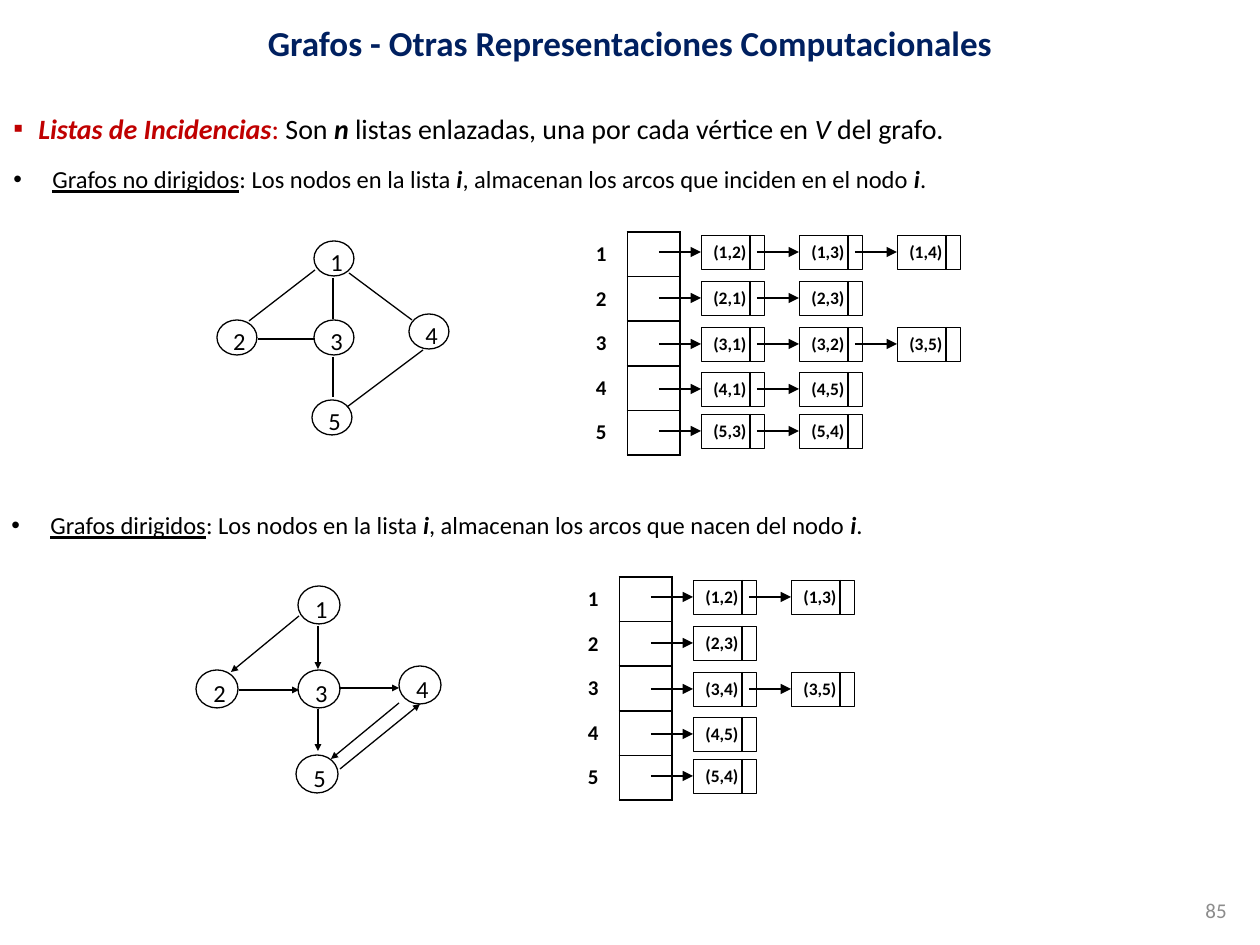
from dataclasses import dataclass

from lxml import etree
from pptx import Presentation
from pptx import util as u
from pptx.dml.color import RGBColor
from pptx.enum import shapes, text
from pptx.oxml import ns


@dataclass(frozen=True)
class Theme:
    font: str = "Calibri"
    black: RGBColor = RGBColor(0, 0, 0)
    white: RGBColor = RGBColor(255, 255, 255)
    navy: RGBColor = RGBColor(0, 0x20, 0x60)
    red: RGBColor = RGBColor(0xC0, 0, 0)
    gray: RGBColor = RGBColor(0x8C, 0x8C, 0x8C)
    title: int = 20
    heading: int = 16
    body: int = 14
    index: int = 12
    entry: int = 10
    line: float = 0.75
    box_line: float = 0.25


theme = Theme()
EMU_PER_PX = 914400 / 126
LEFT, CENTER, RIGHT = text.PP_ALIGN.LEFT, text.PP_ALIGN.CENTER, text.PP_ALIGN.RIGHT
TOP, MIDDLE = text.MSO_ANCHOR.TOP, text.MSO_ANCHOR.MIDDLE


def px(*lengths):
    return [u.Emu(round(length * EMU_PER_PX)) for length in lengths]


def write(frame, words, size, align=CENTER, anchor=MIDDLE, color=theme.black, bold=False):
    frame.word_wrap = True
    frame.vertical_anchor = anchor
    paragraph = frame.paragraphs[0]
    paragraph.text = words
    paragraph.alignment = align
    paragraph.font.name = theme.font
    paragraph.font.size = u.Pt(size)
    paragraph.font.color.rgb = color
    paragraph.font.bold = bold
    return paragraph


presentation = Presentation()
presentation.slide_width, presentation.slide_height = px(1260, 945)
slide = presentation.slides.add_slide(presentation.slide_layouts[5])

title = slide.shapes.title
title.left, title.top, title.width, title.height = px(0, 0, 1260, 84)
write(title.text_frame, "Grafos - Otras Representaciones Computacionales",
      theme.title, color=theme.navy, bold=True)

number = slide.shapes.add_textbox(*px(945, 885, 294, 50))
write(number.text_frame, "85", theme.index, RIGHT, color=theme.gray)

bullets = [
    (1, 105, 47, 25, "▪", theme.heading, theme.red, [
        ("Listas de Incidencias", "bi", theme.red), (": ", "", theme.red),
        ("Son ", "", theme.black), ("n", "bi", theme.black),
        (" listas enlazadas, una por cada vértice en ", "", theme.black),
        ("V ", "i", theme.black), ("del grafo. ", "", theme.black)]),
]
for left, top, kind, rule in [
    (1, 158, "Grafos no dirigidos", "inciden en el nodo "),
    (-1, 504, "Grafos dirigidos", "nacen del nodo "),
]:
    bullets.append((left, top, 43, 39, "•", theme.body, theme.black, [
        (kind, "u", theme.black), (": Los nodos en la lista ", "", theme.black),
        ("i", "bi", theme.black),
        (", almacenan los arcos que " + rule, "", theme.black),
        ("i", "bi", theme.black), (".", "", theme.black)]))

for left, top, height, indent, mark, size, color, runs in bullets:
    box = slide.shapes.add_textbox(*px(left, top, 1259, height))
    paragraph = write(box.text_frame, "", size, text.PP_ALIGN.JUSTIFY, TOP)
    for words, style, run_color in runs:
        run = paragraph.add_run()
        run.text = words
        run.font.bold = "b" in style
        run.font.italic = "i" in style
        run.font.underline = "u" in style
        run.font.color.rgb = run_color
    properties = paragraph.font._element.getparent()
    properties.set("marL", str(px(indent)[0]))
    properties.set("indent", str(px(-indent)[0]))
    bullet_color = etree.Element(ns.qn("a:buClr"))
    etree.SubElement(bullet_color, ns.qn("a:srgbClr"), val=str(color))
    bullet_font = etree.Element(ns.qn("a:buFont"), typeface="Arial")
    bullet_mark = etree.Element(ns.qn("a:buChar"), char=mark)
    for element in (bullet_color, bullet_font, bullet_mark):
        paragraph.font._element.addprevious(element)

lines = []
graphs = [
    (40, 35, 57, 59,
     [(314, 241), (217, 320), (314, 320), (409, 314), (312, 400)], None,
     [(333, 278, 333, 319), (333, 357, 333, 397), (258, 339, 315, 339),
      (315, 270, 249, 321), (423, 350, 347, 407), (349, 273, 412, 320)]),
    (42, 38, 59, 63,
     [(298, 586), (196, 670), (298, 670), (399, 666), (296, 755)], "sm",
     [(318, 626, 318, 669), (318, 709, 318, 751), (339, 688, 399, 688),
      (239, 690, 299, 690), (340, 769, 420, 704), (399, 703, 331, 759),
      (299, 616, 231, 672)]),
]
for width, height, label_width, label_height, nodes, arrow, edges in graphs:
    for name, (left, top) in enumerate(nodes, 1):
        node = slide.shapes.add_shape(shapes.MSO_SHAPE.OVAL, *px(left, top, width, height))
        node.shadow.inherit = False
        node.fill.solid()
        node.fill.fore_color.rgb = theme.white
        node.line.color.rgb = theme.black
        node.line.width = u.Pt(theme.line)
        label = slide.shapes.add_textbox(*px(left - 6, top - 9, label_width, label_height))
        write(label.text_frame, str(name), theme.body).space_after = u.Pt(10)
    lines += [(*edge, arrow) for edge in edges]

ROW_OFFSETS = [3, 49, 95, 140, 182]
incidence_lists = [
    (575, 232, [["(1,2)", "(1,3)", "(1,4)"], ["(2,1)", "(2,3)"],
                ["(3,1)", "(3,2)", "(3,5)"], ["(4,1)", "(4,5)"], ["(5,3)", "(5,4)"]]),
    (567, 577, [["(1,2)", "(1,3)"], ["(2,3)"], ["(3,4)", "(3,5)"], ["(4,5)"], ["(5,4)"]]),
]
for table_left, table_top, rows in incidence_lists:
    frame = slide.shapes.add_table(5, 2, *px(table_left, table_top, 105, 223))
    table = frame.table
    table.first_row = table.horz_banding = False
    for row in range(5):
        for column, sides in enumerate(["R", "LRTB"]):
            cell = table.cell(row, column)
            paragraph = write(cell.text_frame, "" if column else str(row + 1),
                              theme.index, bold=True)
            cell.vertical_anchor = MIDDLE
            cell_properties = cell._tc.get_or_add_tcPr()
            for side in "LRTB":
                border = etree.SubElement(cell_properties, ns.qn("a:ln" + side), w="12700")
                if side in sides:
                    fill = etree.SubElement(border, ns.qn("a:solidFill"))
                    etree.SubElement(fill, ns.qn("a:srgbClr"), val=str(theme.black))
                else:
                    etree.SubElement(border, ns.qn("a:noFill"))
            cell.fill.background()

    for offset, entries in zip(ROW_OFFSETS, rows):
        top = table_top + offset
        for position, entry in enumerate(entries):
            left = table_left + 126 + 98 * position
            box = slide.shapes.add_shape(shapes.MSO_SHAPE.RECTANGLE, *px(left, top, 63, 34))
            box.shadow.inherit = False
            box.fill.background()
            box.line.color.rgb = theme.black
            box.line.width = u.Pt(theme.box_line)
            write(box.text_frame, entry, theme.entry, LEFT, TOP, bold=True)
            lines.append((left + 49, top, left + 49, top + 34, None))
            lines.append((left - 42, top + 17, left, top + 17, "med"))

for start_x, start_y, end_x, end_y, arrow in lines:
    line = slide.shapes.add_connector(shapes.MSO_CONNECTOR.STRAIGHT,
                                      *px(start_x, start_y, end_x, end_y))
    line.line.color.rgb = theme.black
    line.line.width = u.Pt(theme.line)
    if arrow:
        etree.SubElement(line.line._get_or_add_ln(), ns.qn("a:tailEnd"),
                         type="triangle", w=arrow, len=arrow)
    etree.SubElement(line._element.spPr, ns.qn("a:effectLst"))

presentation.save("out.pptx")
